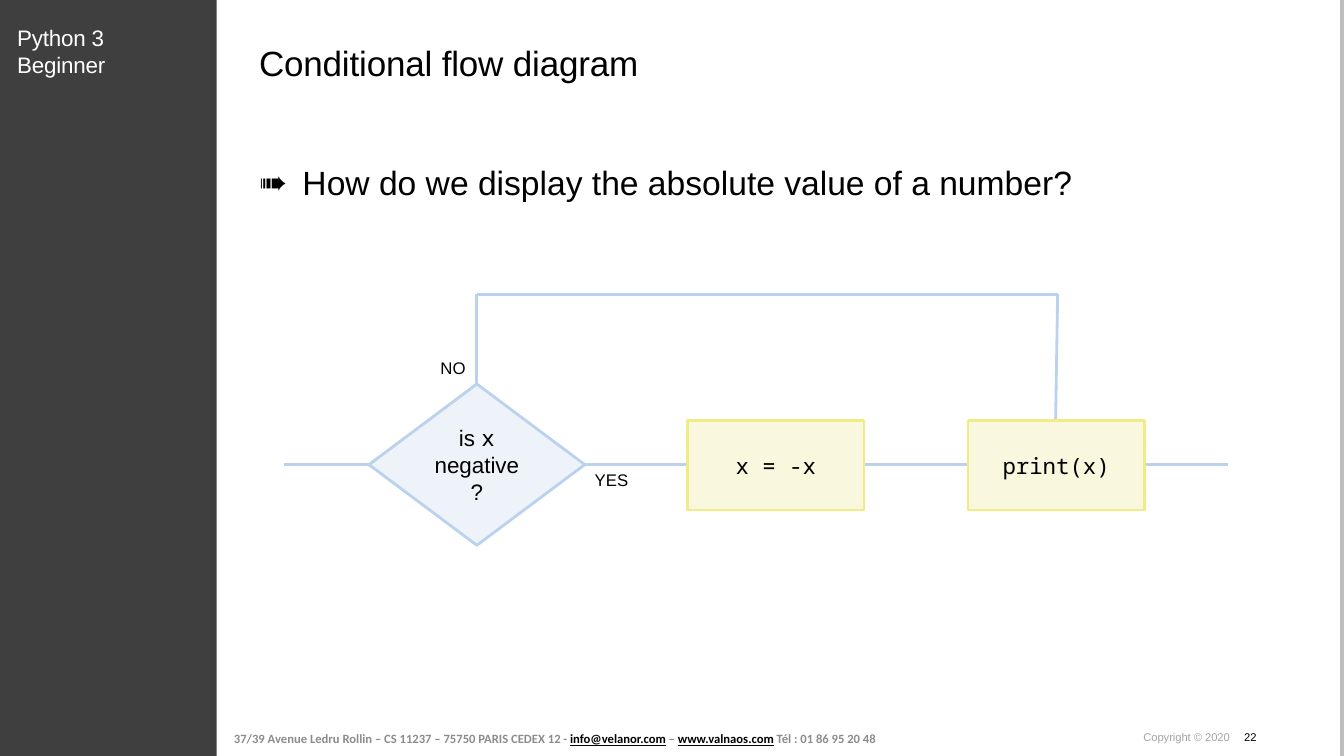
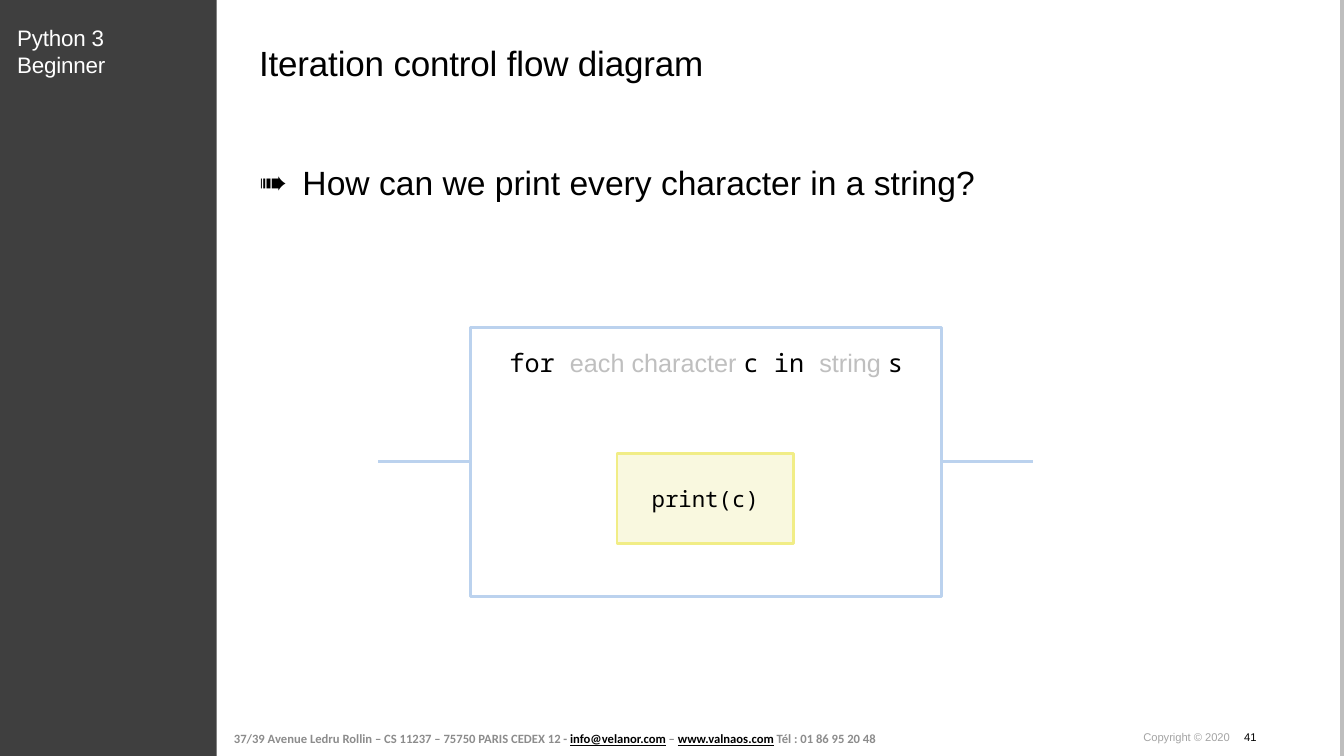
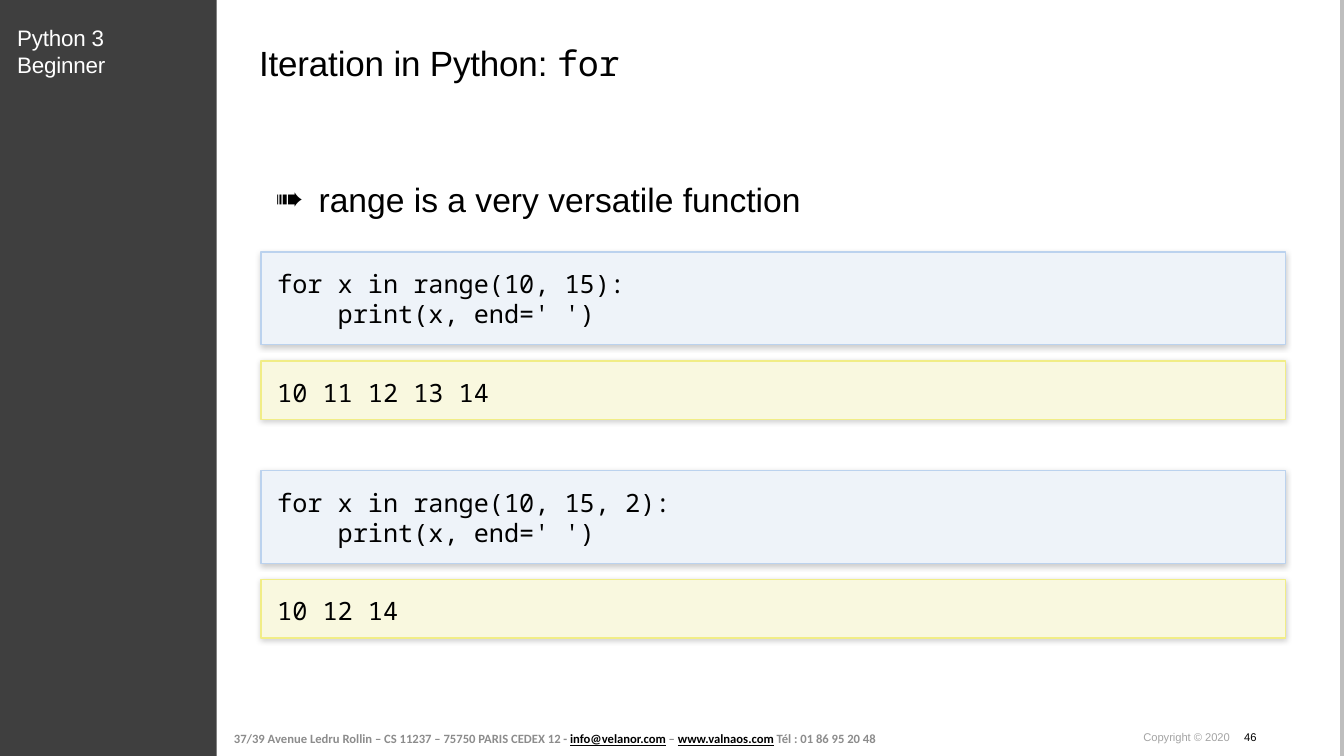
from lxml.etree import SubElement
from pptx import Presentation
from pptx.dml.color import RGBColor
from pptx.enum.shapes import MSO_CONNECTOR, MSO_SHAPE
from pptx.enum.text import MSO_ANCHOR, MSO_AUTO_SIZE, PP_ALIGN
from pptx.oxml.ns import qn
from pptx.util import Inches, Pt

BLACK = RGBColor(0x00, 0x00, 0x00)
WHITE = RGBColor(0xFF, 0xFF, 0xFF)
BAND_GREY = RGBColor(0x3F, 0x3F, 0x3F)
EDGE_GREY = RGBColor(0xBE, 0xBE, 0xBE)
FOOTER_GREY = RGBColor(0x8C, 0x8C, 0x8C)
COPYRIGHT_GREY = RGBColor(0xA4, 0xA4, 0xA4)
HINT_GREY = RGBColor(0xBF, 0xBF, 0xBF)
BLUE_FILL = RGBColor(0xEE, 0xF3, 0xF9)
BLUE_LINE = RGBColor(0xBB, 0xD2, 0xEE)
YELLOW_FILL = RGBColor(0xF9, 0xF8, 0xDF)
YELLOW_LINE = RGBColor(0xF1, 0xED, 0x86)

SANS = "Arial"
MONO = "Noto Sans Mono"
STEP_SIZE = (1.75, 0.89)


def place(shape, left, top, width, height):
    """Move and size a shape, in inches."""
    shape.left, shape.top = Inches(left), Inches(top)
    shape.width, shape.height = Inches(width), Inches(height)


def format_span(span, font=SANS, size=16, color=BLACK, bold=False, underline=False, tracking=0):
    """Set the character format of one run."""
    span.font.name = font
    span.font.size = Pt(size)
    span.font.color.rgb = color
    span.font.bold = bold
    span.font.underline = underline
    if tracking:
        span.font._element.set("spc", str(round(tracking * 100)))


def write(shape, *paragraphs, align=PP_ALIGN.LEFT, anchor=MSO_ANCHOR.TOP, inset=(0, 0),
          wrap=True, margin=0, indent=0, line_spacing=1.0, bullet=None, tab=None, **style):
    """Fill a shape with paragraphs, each a string or a list of (text, format) spans."""
    frame = shape.text_frame
    frame.auto_size = MSO_AUTO_SIZE.NONE
    frame.word_wrap = wrap
    frame.vertical_anchor = anchor
    frame.margin_left = frame.margin_right = Inches(inset[0])
    frame.margin_top = frame.margin_bottom = Inches(inset[1])
    for index, content in enumerate(paragraphs):
        para = frame.add_paragraph() if index else frame.paragraphs[0]
        properties = para._p.get_or_add_pPr()
        properties.set("marL", str(Inches(margin)))
        properties.set("indent", str(Inches(indent)))
        if bullet:
            SubElement(properties, qn("a:buChar"), char=bullet)
        if tab:
            tabs = SubElement(properties, qn("a:tabLst"))
            SubElement(tabs, qn("a:tab"), pos=str(Inches(tab)), algn="l")
        para.alignment = align
        para.line_spacing = line_spacing
        para.space_before = Pt(0)
        spans = [(content, {})] if isinstance(content, str) else content
        for text, changes in spans:
            span = para.add_run()
            span.text = text
            format_span(span, **{**style, **changes})


def add_text(page, position, *paragraphs, **style):
    """Add a text box."""
    box = page.shapes.add_textbox(*map(Inches, position))
    write(box, *paragraphs, **style)
    return box


def add_box(page, position, fill=None, line=None, width=2, kind=MSO_SHAPE.RECTANGLE):
    """Add a flat preset shape."""
    box = page.shapes.add_shape(kind, *map(Inches, position))
    box.shadow.inherit = False
    if fill is None:
        box.fill.background()
    else:
        box.fill.solid()
        box.fill.fore_color.rgb = fill
    if line is None:
        box.line.fill.background()
    else:
        box.line.color.rgb = line
        box.line.width = Pt(width)
    return box


def add_line(page, start, end, color=BLUE_LINE, width=2):
    """Add a straight line between two points."""
    line = page.shapes.add_connector(MSO_CONNECTOR.STRAIGHT, *map(Inches, (*start, *end)))
    line.line.color.rgb = color
    line.line.width = Pt(width)
    SubElement(line.element.spPr, qn("a:effectLst"))
    return line


def add_step(page, left, top, code):
    """Add a yellow box holding one statement."""
    box = add_box(page, (left, top, *STEP_SIZE), YELLOW_FILL, YELLOW_LINE)
    write(box, code, font=MONO, align=PP_ALIGN.CENTER, anchor=MSO_ANCHOR.MIDDLE, inset=(0.1, 0.05))


def add_listing(page, top, height, fill, line, *code):
    """Add a shadowed panel of code or output."""
    box = add_box(page, (2.59, top, 10.16, height), fill, line, width=1)
    effects = box.element.spPr.find(qn("a:effectLst"))
    shadow = SubElement(effects, qn("a:outerShdw"), blurRad=str(Pt(4)), dist=str(Pt(1)),
                        dir="5400000", algn="ctr", rotWithShape="0")
    color = SubElement(shadow, qn("a:srgbClr"), val=str(BLACK))
    SubElement(color, qn("a:alpha"), val="20000")
    write(box, *code, font=MONO, size=18, inset=(0.16, 0.16))


def build_layout(deck):
    """Put the side band, right edge and address on the content layout."""
    layout = deck.slide_layouts[1]
    for holder in list(layout.placeholders)[2:]:
        holder.element.getparent().remove(holder.element)
    return layout


def decorate_layout(layout, page):
    """Draw the shared parts and hand them to the layout."""
    edge = add_line(page, (13.31, 0), (13.31, 7.5), EDGE_GREY, 3.34)
    band = add_box(page, (0, 0, 2.15, 7.5), BAND_GREY)
    link = {"color": BLACK, "underline": True}
    address = add_text(page, (2.25, 7.17, 6.68, 0.32), [
        ("37/39 Avenue Ledru Rollin – CS 11237 – 75750 PARIS CEDEX 12 - ", {}),
        ("info@velanor.com", link), (" – ", {}), ("www.valnaos.com", link),
        (" Tél : 01 86 95 20 48", {}),
    ], font="Calibri", size=9, color=FOOTER_GREY, bold=True,
        anchor=MSO_ANCHOR.MIDDLE, inset=(0.07, 0.04))
    for shape in (edge, band, address):
        layout.shapes.element.append(shape.element)


def add_page(deck, layout, number, title, question, body_at=(0.76, 1.41)):
    """Add a slide with its title, bullet, course name and page number."""
    page = deck.slides.add_slide(layout)
    if len(deck.slides) == 1:
        decorate_layout(layout, page)
    heading, body = page.placeholders
    place(heading, 0.86, 0.41, 11.62, 0.42)
    write(heading, title, size=25, tracking=-0.1, margin=1.71)
    place(body, *body_at, 11.82, 0.53)
    write(body, question, size=24, margin=2.24, indent=-0.43, line_spacing=1.5, bullet="➠")
    add_text(page, (0.16, 0.24, 1.75, 0.54), "Python 3 Beginner",
             color=WHITE, tracking=-0.1, margin=0.01)
    add_text(page, (11.33, 7.25, 1.72, 0.13),
             [("Copyright © 2020\t", {"tracking": -0.05}), (str(number), {"color": BLACK})],
             size=8, color=COPYRIGHT_GREY, margin=0.01, tab=0.99)
    return page


def add_condition_page(deck, layout):
    """Build the flow diagram of a condition."""
    page = add_page(deck, layout, 22, "Conditional flow diagram",
                    "How do we display the absolute value of a number?")
    axis, bypass, center = 4.61, 2.92, 4.73
    for start, end in ((2.82, 3.66), (5.8, 6.82), (8.57, 9.6), (11.35, 12.18)):
        add_line(page, (start, axis), (end, axis))
    corners = [(center, 3.81), (center, bypass), (10.49, bypass), (10.47, 4.17)]
    for start, end in zip(corners, corners[1:]):
        add_line(page, start, end)
    test = add_box(page, (3.66, 3.81, 2.14, 1.6), BLUE_FILL, BLUE_LINE, kind=MSO_SHAPE.DIAMOND)
    write(test, [("is ", {}), ("x ", {"font": MONO}), ("negative?", {})],
          align=PP_ALIGN.CENTER, anchor=MSO_ANCHOR.MIDDLE, inset=(0.1, 0.05))
    for left, code in ((6.82, "x = -x"), (9.6, "print(x)")):
        add_step(page, left, 4.17, code)
    for left, top, width, answer in ((5.8, 4.61, 0.54, "YES"), (4.27, 3.5, 0.45, "NO")):
        add_text(page, (left, top, width, 0.3), answer, size=12, inset=(0.1, 0.05), wrap=False)


def add_iteration_page(deck, layout):
    """Build the flow diagram of a loop."""
    page = add_page(deck, layout, 41, "Iteration control flow diagram",
                    "How can we print every character in a string?")
    for start, end in ((3.75, 4.67), (9.33, 10.25)):
        add_line(page, (start, 4.58), (end, 4.58))
    loop = add_box(page, (4.67, 3.25, 4.67, 2.67), line=BLUE_LINE)
    hint = {"font": SANS, "color": HINT_GREY}
    write(loop, [("for ", {}), ("each character ", hint), ("c in ", {}), ("string ", hint), ("s", {})],
          font=MONO, size=18, align=PP_ALIGN.CENTER, inset=(0.2, 0.2))
    add_step(page, 6.12, 4.5, "print(c)")


def add_range_page(deck, layout):
    """Build the code examples of range, each with its output."""
    page = add_page(deck, layout, 46, [("Iteration in Python: ", {}), ("for", {"font": MONO})],
                    "range is a very versatile function", body_at=(0.92, 1.57))
    examples = (("10, 15", "10 11 12 13 14"), ("10, 15, 2", "10 12 14"))
    for index, (arguments, output) in enumerate(examples):
        top = 2.5 + 2.17 * index
        add_listing(page, top, 0.92, BLUE_FILL, BLUE_LINE,
                    f"for x in range({arguments}):", "    print(x, end=' ')")
        add_listing(page, top + 1.08, 0.58, YELLOW_FILL, YELLOW_LINE, output)


def main():
    """Build and save the deck."""
    deck = Presentation()
    deck.slide_width, deck.slide_height = Inches(13.33), Inches(7.5)
    layout = build_layout(deck)
    add_condition_page(deck, layout)
    add_iteration_page(deck, layout)
    add_range_page(deck, layout)
    deck.save("out.pptx")


if __name__ == "__main__":
    main()
